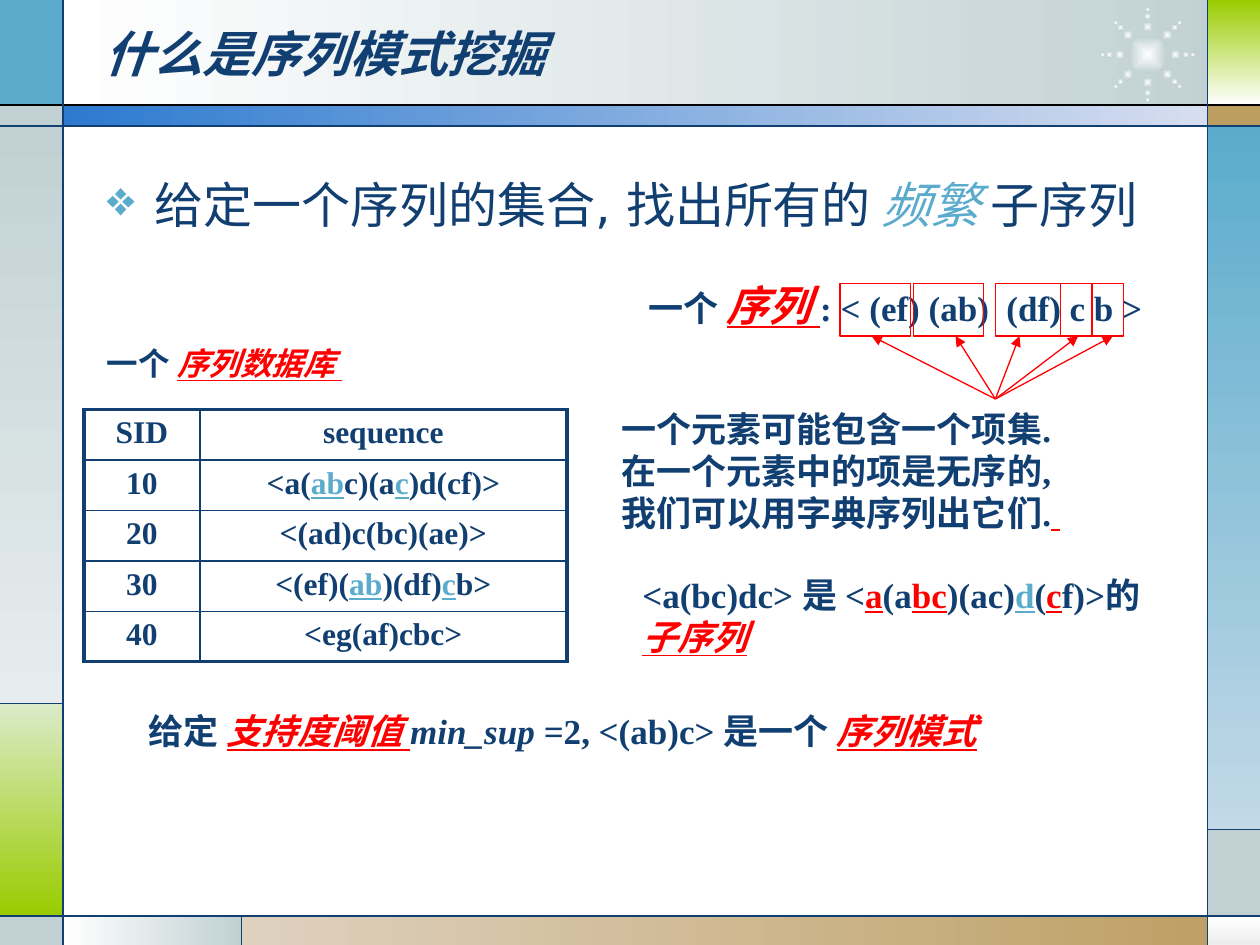
from math import cos, radians, sin

from lxml import etree
from pptx import Presentation
from pptx.dml.color import RGBColor
from pptx.enum.shapes import MSO_CONNECTOR, MSO_SHAPE
from pptx.enum.text import MSO_ANCHOR, PP_ALIGN
from pptx.oxml.ns import qn
from pptx.util import Inches, Pt

RECT, OVAL = MSO_SHAPE.RECTANGLE, MSO_SHAPE.OVAL
STRAIGHT = MSO_CONNECTOR.STRAIGHT
LEFT, CENTER, RIGHT = PP_ALIGN.LEFT, PP_ALIGN.CENTER, PP_ALIGN.RIGHT
TOP, MIDDLE = MSO_ANCHOR.TOP, MSO_ANCHOR.MIDDLE

# The page is a grid of 120 columns and 90 rows, all cells square
COLUMNS, ROWS = 120, 90
CELL = Inches(10) / COLUMNS

COLORS = {
    "navy": "113F71", "sky": "5AABCC", "red": "FF0000", "black": "000000",
    "white": "FFFFFF", "mist": "C1D1D3", "haze": "E7EDEE", "pale_lime": "DBEBC9",
    "lime": "99CC00", "sand": "DED1BF", "tan": "BD9E61", "silver": "EDEDED",
    "ice": "C2D9E7", "blue": "2D7ACF", "pale_blue": "D7DEF0",
}
SANS, SERIF = "DejaVu Sans", "Times New Roman"
KEY = {"color": "red", "italic": True, "underline": True}
MATCH = {"color": "red", "underline": True}
HIT = {"color": "sky", "underline": True}


def grid(*cells):
    return [round(cell * CELL) for cell in cells]


def rgb(name):
    return RGBColor.from_string(COLORS[name])


def add_child(parent, tag, **attributes):
    return etree.SubElement(parent, qn(tag), **attributes)


def write_para(para, spans, size=20, font=SERIF, color="navy", bold=True,
               italic=False, underline=False, align=LEFT):
    para.alignment = align
    base = {"color": color, "italic": italic, "underline": underline}
    for text, changes in spans:
        look = {**base, **changes}
        span = para.add_run()
        span.text = text
        span.font.name, span.font.bold = font, bold
        span.font.size = Pt(look.get("size", size))
        span.font.italic, span.font.underline = look["italic"], look["underline"]
        span.font.color.rgb = rgb(look["color"])


def add_text(page, box, *paras, anchor=TOP, **look):
    frame = page.shapes.add_textbox(*grid(*box)).text_frame
    frame.word_wrap, frame.vertical_anchor = True, anchor
    for index, spans in enumerate(paras):
        para = frame.add_paragraph() if index else frame.paragraphs[0]
        write_para(para, spans, **look)
    return frame


def add_tile(page, box, colors=(), angle=0, kind=RECT, outline=None):
    tile = page.shapes.add_shape(kind, *grid(*box))
    tile.shadow.inherit = False
    if len(colors) == 2:
        tile.fill.gradient()
        tile.fill.gradient_angle = angle
        for stop, name in zip(tile.fill.gradient_stops, colors):
            stop.color.rgb = rgb(name)
    elif colors:
        tile.fill.solid()
        tile.fill.fore_color.rgb = rgb(colors[0])
    else:
        tile.fill.background()
    if outline:
        tile.line.color.rgb, tile.line.width = rgb(outline), Pt(0.75)
    else:
        tile.line.fill.background()
    return tile


def add_line(page, start, end, color="navy", arrow=False):
    line = page.shapes.add_connector(STRAIGHT, *grid(*start, *end))
    line.line.color.rgb, line.line.width = rgb(color), Pt(0.75)
    if arrow:
        add_child(line.line._get_or_add_ln(), "a:tailEnd", type="triangle")
    add_child(line._element.spPr, "a:effectLst")


def draw_frame(page, box):
    left, top, width, height = box
    right, bottom = left + width, top + height
    inner, side, base = left + 6, right - 5, bottom - 2.75
    down = 270
    # Tiles: box, colours, gradient angle
    for tile in (
        ((inner, top, 111.2, 10), ("white", "mist"), 0),
        ((left, top, 6, 10), ("sky",), 0),
        ((left, top + 10, 6, 2), ("mist",), 0),
        ((left, top + 12, 6, 55), ("mist", "haze"), down),
        ((left, top + 67, 6, 20.25), ("pale_lime", "lime"), down),
        ((left, base, 6, 2.75), ("mist",), 0),
        ((inner, base, 17, 2.75), ("white", "mist"), 0),
        ((left + 23, base, 97, 2.75), ("sand", "tan"), 0),
        ((side, base, 5, 2.75), ("white", "silver"), down),
        ((side, top + 79, 5, 8.25), ("mist",), 0),
        ((side, top + 12, 5, 67), ("sky", "ice"), down),
        ((side, top + 10, 5, 2), ("tan",), 0),
        ((side, top, 5, 10), ("lime", "white"), down),
        ((inner, top + 10, 109, 2), ("blue", "pale_blue"), 0),
    ):
        add_tile(page, *tile)
    draw_sunburst(page, (right - 15.2, top + 0.7, 9, 9))
    # Rules between the tiles
    for row, color in ((top + 10, "black"), (top + 12, "navy"), (base, "navy")):
        add_line(page, (left, row), (right, row), color)
    for column in (inner, side):
        add_line(page, (column, top), (column, bottom))
    add_line(page, (left, top + 67), (inner, top + 67))
    add_line(page, (left + 23, base), (left + 23, bottom))
    add_line(page, (side, top + 79), (right, top + 79))


def draw_sunburst(page, box):
    left, top, width, height = box
    middle, center = left + width / 2, top + height / 2
    dots = [(0, 0, 3.6)]
    dots += [(angle, reach, size) for angle in range(0, 360, 45)
             for reach, size in ((2.65, 0.9), (3.65, 0.6), (4.3, 0.42))]
    for angle, reach, size in dots:
        x = middle + reach * cos(radians(angle)) - size / 2
        y = center + reach * sin(radians(angle)) - size / 2
        dot = add_tile(page, (x, y, size, size), ("white", "mist"), kind=OVAL)
        gradient = dot._element.spPr.find(qn("a:gradFill"))
        gradient.remove(gradient.find(qn("a:lin")))
        shade = add_child(gradient, "a:path")
        shade.set("path", "shape")
        add_child(shade, "a:fillToRect", l="50000", t="50000", r="50000", b="50000")


def draw_statement(page, box):
    frame = add_text(page, box, [("给定一个序列的集合, 找出所有的 ", {}),
                                 ("频繁 ", {"color": "sky", "italic": True}),
                                 ("子序列", {})], size=28, font=SANS, bold=False)
    props = frame.paragraphs[0]._p.get_or_add_pPr()
    props.set("marL", str(Inches(0.38)))
    props.set("indent", str(-Inches(0.38)))
    add_child(add_child(props, "a:buClr"), "a:srgbClr", val=COLORS["sky"])
    add_child(props, "a:buChar", char="❖")


def draw_database(page, box):
    left, top, width, height = box
    add_text(page, (left + 1, top, 32, 6),
             [("一个 ", {}), ("序列数据库 ", KEY)], size=18)
    rows = (
        ("SID", [("sequence", {})]),
        ("10", [("<a(", {}), ("ab", HIT), ("c)(a", {}), ("c", HIT), (")d(cf)>", {})]),
        ("20", [("<(ad)c(bc)(ae)>", {})]),
        ("30", [("<(ef)(", {}), ("ab", HIT), (")(df)", {}), ("c", HIT), ("b>", {})]),
        ("40", [("<eg(af)cbc>", {})]),
    )
    table = page.shapes.add_table(
        len(rows), 2, *grid(left, top + 6.8, width, height - 6.8)).table
    for column, share in zip(table.columns, (0.24, 0.76)):
        column.width = grid(width * share)[0]
    last = len(rows) - 1
    for index, (sid, sequence) in enumerate(rows):
        for place, spans in enumerate(([(sid, {})], sequence)):
            cell = table.cell(index, place)
            cell.fill.background()
            write_para(cell.text_frame.paragraphs[0], spans, size=18, align=CENTER)
            outer = {"L": place == 0, "R": place == 1,
                     "T": index == 0, "B": index == last}
            add_borders(cell, outer)


def add_borders(cell, outer):
    props = cell._tc.get_or_add_tcPr()
    for position, (side, is_outer) in enumerate(outer.items()):
        border = etree.Element(qn(f"a:ln{side}"), w=str(Pt(2.25 if is_outer else 1)))
        add_child(add_child(border, "a:solidFill"), "a:srgbClr", val=COLORS["navy"])
        props.insert(position, border)


def draw_sequence(page, box):
    left, top, width, height = box
    add_text(page, (left, top, width, 6),
             [("一个 ", {}), ("序列 ", {**KEY, "size": 24}),
              (": < (ef) (ab)  (df) c b >", {})], align=RIGHT)
    # One frame for each element: left, width, column of its arrowhead
    origin = (left + 41.8, top + height)
    for start, span, tip in ((27, 6.7, 30), (34, 6.7, 38), (41.8, 6.2, 44.1),
                             (48, 3, 49.7), (51, 3, 53)):
        add_tile(page, (left + start, top + 1, span, 5), outline="red")
        add_line(page, origin, (left + tip, top + 6), "red", arrow=True)


def draw_notes(page, box):
    left, top, width, height = box
    add_text(page, (left, top, 46, 13),
             [("一个元素可能包含一个项集.", {})],
             [("在一个元素中的项是无序的,", {})],
             [("我们可以用字典序列出它们.", {}), (" ", KEY)])
    add_text(page, (left + 2, top + height - 9.2, 53, 9.2),
             [("<a(bc)dc> 是 <", {}), ("a", MATCH), ("(a", {}), ("bc", MATCH),
              (")(ac)", {}), ("d", HIT), ("(", {}), ("c", MATCH), ("f)>的", {}),
              ("子序列", KEY)])


def main():
    deck = Presentation()
    deck.slide_width, deck.slide_height = grid(COLUMNS, ROWS)
    page = deck.slides.add_slide(deck.slide_layouts[6])
    draw_frame(page, (0, 0, COLUMNS, ROWS))
    # Title
    add_text(page, (8.8, 0, 100.3, 10), [("什么是序列模式挖掘", {})],
             anchor=MIDDLE, size=28, font=SANS, italic=True)
    draw_statement(page, (9, 16, 109, 7))
    draw_database(page, (8, 32.2, 46, 30.8))
    draw_sequence(page, (53, 26, 57, 12))
    draw_notes(page, (58, 38.2, 55, 25))
    # Conclusion
    add_text(page, (13, 67, 101, 5.2),
             [("给定 ", {}), ("支持度阈值 ", KEY), ("min_sup ", {"italic": True}),
              ("=2, <(ab)c> 是一个 ", {}), ("序列模式", KEY)])
    deck.save("out.pptx")


if __name__ == "__main__":
    main()
